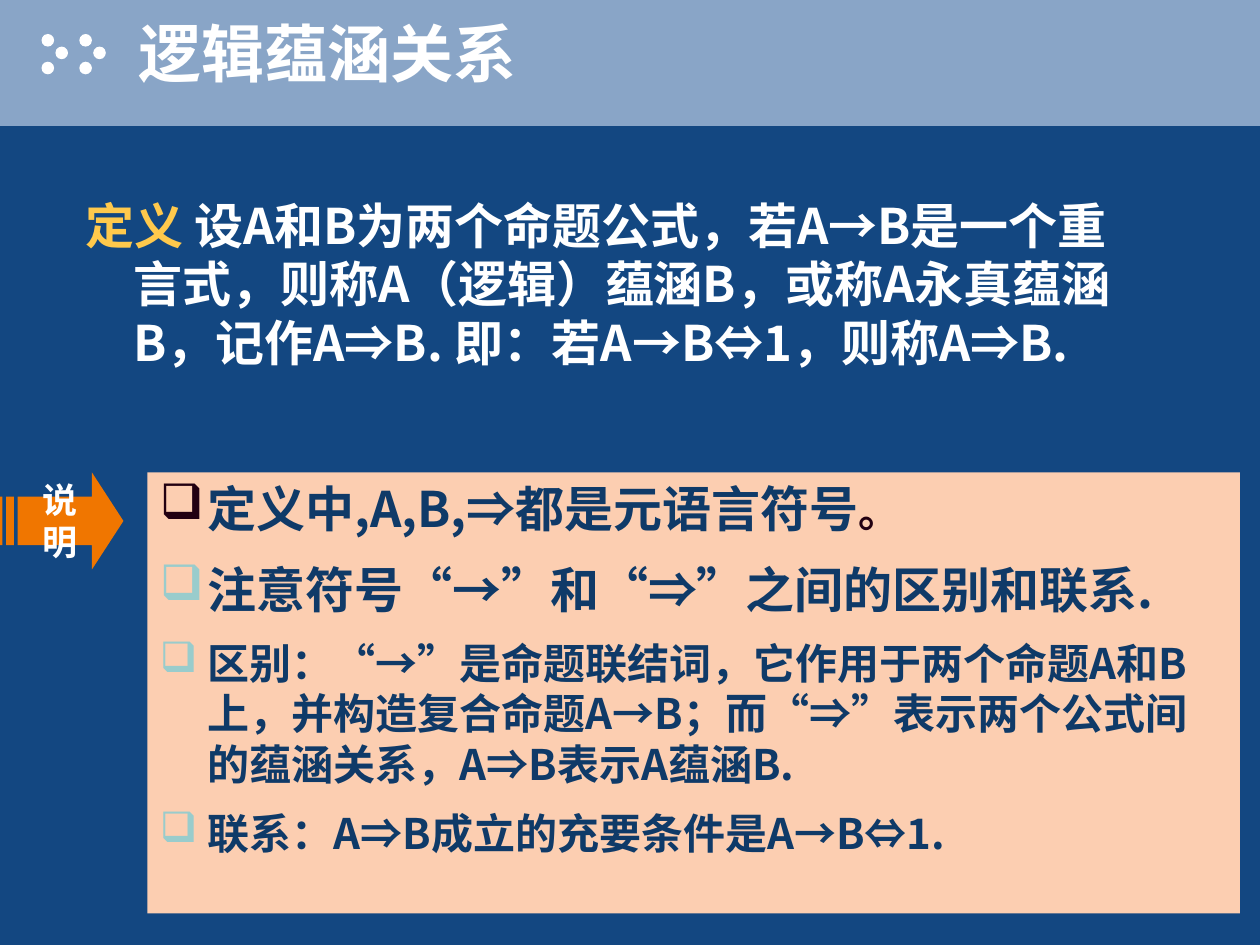
from lxml import etree
from pptx import Presentation
from pptx.dml.color import RGBColor
from pptx.enum.shapes import MSO_SHAPE as Shape
from pptx.enum.text import MSO_ANCHOR as Anchor, PP_ALIGN as Align
from pptx.oxml.ns import qn
from pptx.util import Inches, Pt

SANS = "Noto Sans CJK SC"
WHITE, NAVY, DARK, TEAL = "FFFFFF", "0F3A68", "220011", "99CCCC"


def rgb(code):
    return RGBColor.from_string(code)


def paint(shape, code):
    shape.shadow.inherit = False
    shape.fill.solid()
    shape.fill.fore_color.rgb = rgb(code)
    shape.line.fill.background()
    return shape


def add_run(para, text, size, code, face=SANS):
    run = para.add_run()
    run.text = text
    font = run.font
    font.size, font.bold, font.name = Pt(size), True, face
    font.color.rgb = rgb(code)
    latin = run._r.get_or_add_rPr().find(qn("a:latin"))
    east = etree.Element(qn("a:ea"), typeface=SANS)
    latin.addnext(east)
    return run


def hang(para, code=None):
    """Give a hanging indent, and a box bullet if a colour is given."""
    props = para._p.get_or_add_pPr()
    props.set("marL", str(Inches(0.38)))
    props.set("indent", str(-Inches(0.38)))
    if code:
        tint = etree.SubElement(props, qn("a:buClr"))
        etree.SubElement(tint, qn("a:srgbClr"), val=code)
        etree.SubElement(props, qn("a:buChar"), char="❑")


def add_head(slide, x, y, w, h):
    shapes = slide.shapes
    paint(shapes.add_shape(Shape.RECTANGLE, Inches(x), Inches(y),
                           Inches(w), Inches(h)), "89A5C7")
    for left in (0.33, 0.63):
        for dx, dy in ((0, 0.27), (0.11, 0.37), (0, 0.49)):
            paint(shapes.add_shape(Shape.OVAL, Inches(x + left + dx),
                                   Inches(y + dy), Inches(0.1),
                                   Inches(0.1)), WHITE)
    title = shapes.title
    title.left, title.top = Inches(x + 1), Inches(y)
    title.width, title.height = Inches(w - 1), Inches(0.83)
    title.text_frame.vertical_anchor = Anchor.MIDDLE
    para = title.text_frame.paragraphs[0]
    para.alignment = Align.LEFT
    run = add_run(para, "逻辑蕴涵关系", 36, WHITE)
    latin = run._r.rPr.find(qn("a:latin"))
    effect = etree.Element(qn("a:effectLst"))
    latin.addprevious(effect)
    shade = etree.SubElement(effect, qn("a:outerShdw"), dist="38100",
                             dir="2700000")
    etree.SubElement(shade, qn("a:srgbClr"), val=DARK)
    # The title goes in front of the band
    title.element.getparent().append(title.element)


def add_term(slide, x, y, w, h):
    """Place the definition."""
    box = slide.shapes.add_textbox(Inches(x), Inches(y), Inches(w), Inches(h))
    box.text_frame.word_wrap = True
    para = box.text_frame.paragraphs[0]
    hang(para)
    add_run(para, "定义 ", 28, "FFC94C")
    add_run(para, "设A和B为两个命题公式，若A→B是一个重言式，则称A（逻辑）蕴涵B，"
            "或称A永真蕴涵B，记作A⇒B. 即：若A→B⇔1，则称A⇒B.", 28, WHITE)


def add_arrow(slide, x, y, w, h):
    """Place a striped arrow with its label."""
    def spot(px, py):
        return Inches(x + px), Inches(y + py)

    top, low, neck = h / 4, h * 3 / 4, w - 0.25
    head = [(neck, 0), (neck, top), (0.16, top), (0.16, low),
            (neck, low), (neck, h), (w, h / 2)]
    bars = [[(a, top), (a, low), (b, low), (b, top)]
            for a, b in ((0.07, 0.13), (0, 0.04))]
    pen = slide.shapes.build_freeform(*spot(*head[0]), scale=1.0)
    pen.add_line_segments([spot(*p) for p in head[1:]], close=True)
    for bar in bars:
        pen.move_to(*spot(*bar[0]))
        pen.add_line_segments([spot(*p) for p in bar[1:]], close=True)
    arrow = paint(pen.convert_to_shape(), "F07600")
    frame = arrow.text_frame
    frame.word_wrap = True
    frame.vertical_anchor = Anchor.MIDDLE
    frame.margin_left = frame.margin_right = Inches(0.27)
    frame.margin_top = frame.margin_bottom = 0
    para = frame.paragraphs[0]
    para.alignment = Align.CENTER
    add_run(para, "说明", 20, WHITE, "Arial")


def add_notes(slide, x, y, w, h):
    """Place the panel of remarks."""
    panel = paint(slide.shapes.add_shape(
        Shape.RECTANGLE, Inches(x), Inches(y), Inches(w), Inches(h)), "FCCEB1")
    frame = panel.text_frame
    frame.word_wrap = True
    frame.vertical_anchor = Anchor.TOP
    items = [
        (DARK, [("定义中,A,B,⇒都是元语言符号", 28, NAVY), ("。", 24, DARK)]),
        (TEAL, [("注意符号“→”和“⇒”之间的区别和联系.", 28, NAVY)]),
        (TEAL, [("区别：“→”是命题联结词，它作用于两个命题A和B上，并构造复合命题A→B；"
                 "而“⇒”表示两个公式间的蕴涵关系，A⇒B表示A蕴涵B.", 24, NAVY)]),
        (TEAL, [("联系：A⇒B成立的充要条件是A→B⇔1.", 24, NAVY)]),
    ]
    for i, (mark, runs) in enumerate(items):
        para = frame.add_paragraph() if i else frame.paragraphs[0]
        para.alignment = Align.LEFT
        if i:
            para.space_before = Pt(0.45 * runs[0][1])
        hang(para, mark)
        for run in runs:
            add_run(para, *run)


def main():
    deck = Presentation()
    deck.slide_width, deck.slide_height = Inches(10), Inches(7.5)
    slide = deck.slides.add_slide(deck.slide_layouts[5])
    slide.background.fill.solid()
    slide.background.fill.fore_color.rgb = rgb("134781")
    add_head(slide, 0, 0, 10, 1)
    add_term(slide, 0.58, 1.5, 8.58, 1.83)
    add_arrow(slide, -0.02, 3.75, 1, 0.77)
    add_notes(slide, 1.17, 3.75, 8.67, 3.5)
    deck.save("out.pptx")


if __name__ == "__main__":
    main()
